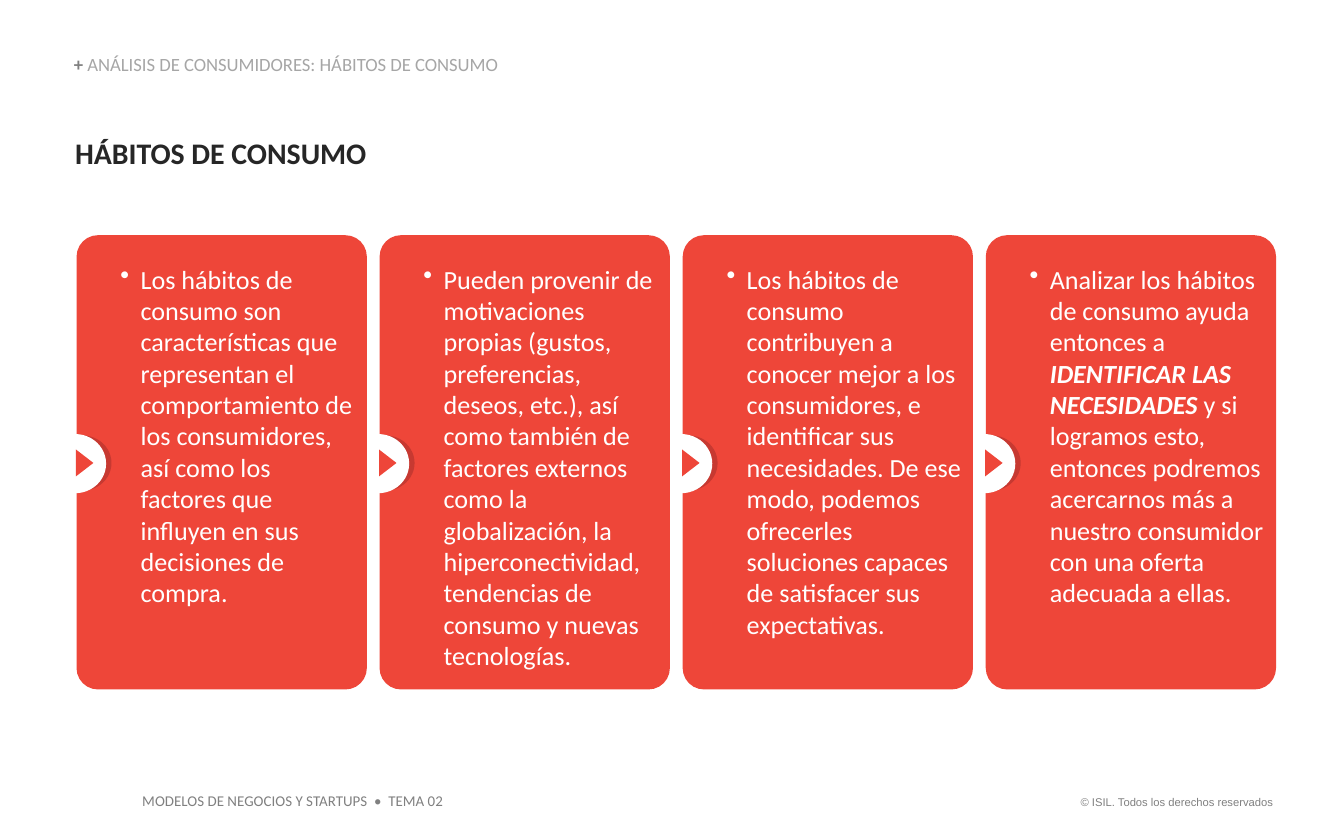
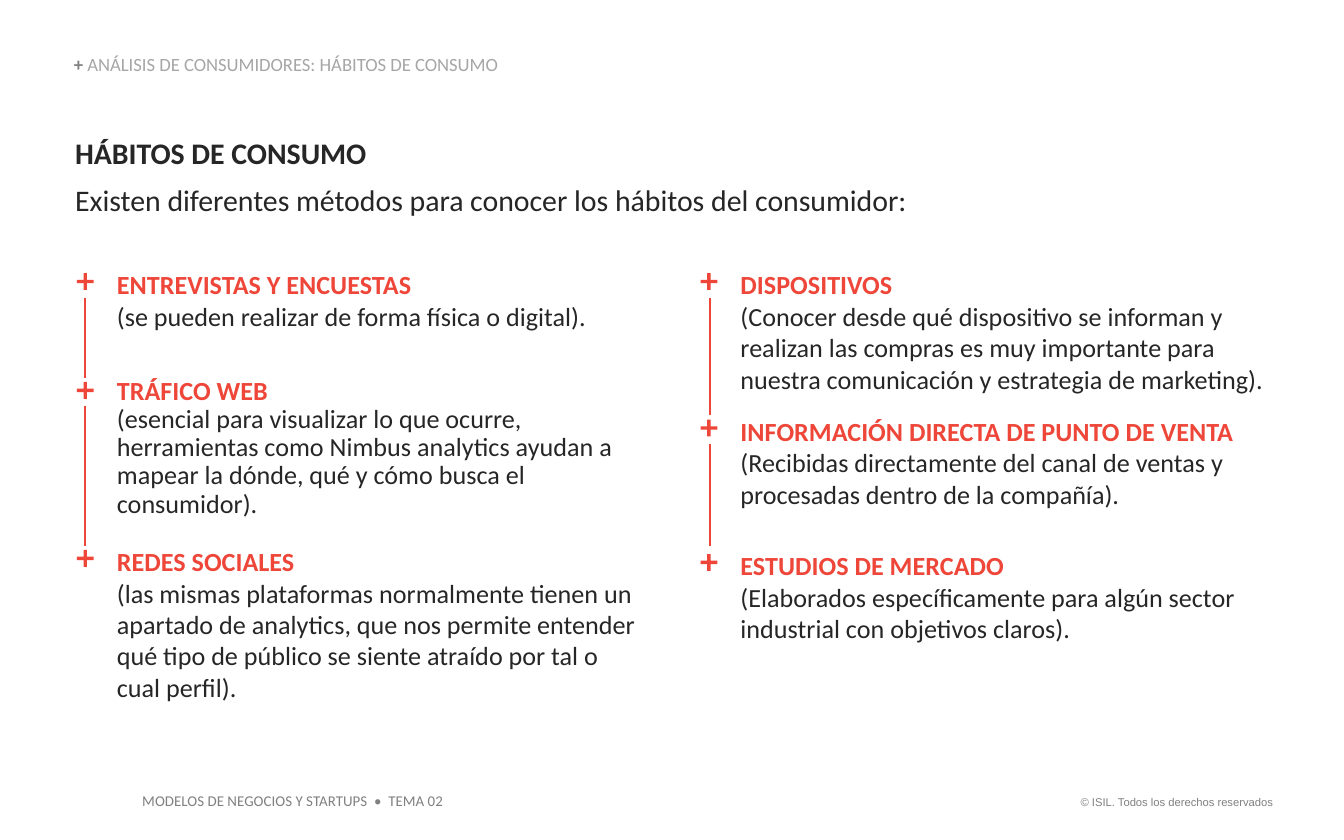
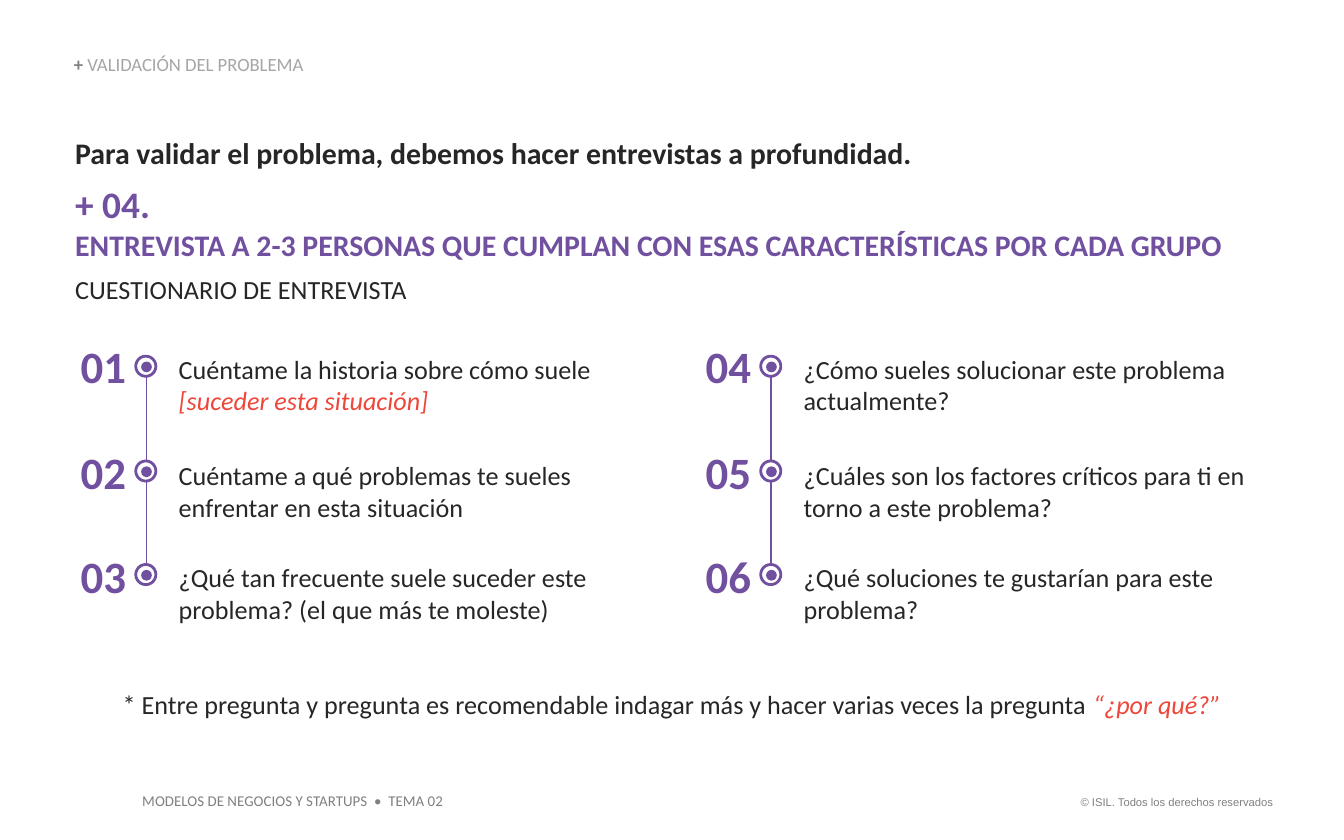
"""Build three slides on consumer habits and problem validation."""
from copy import deepcopy

from lxml.etree import SubElement
from pptx import Presentation
from pptx.dml.color import RGBColor
from pptx.enum.shapes import MSO_CONNECTOR, MSO_SHAPE as SHAPE
from pptx.enum.text import MSO_ANCHOR, MSO_AUTO_SIZE, PP_ALIGN as ALIGN
from pptx.oxml.ns import qn
from pptx.util import Inches, Pt

RED = RGBColor(0xEE, 0x46, 0x39)
DARK_RED = RGBColor(0xC7, 0x39, 0x31)
PURPLE = RGBColor(0x71, 0x50, 0xA0)
INK = RGBColor(0x26, 0x26, 0x26)
GRAY = RGBColor(0x80, 0x80, 0x80)
LIGHT_GRAY = RGBColor(0xA6, 0xA6, 0xA6)
WHITE = RGBColor(0xFF, 0xFF, 0xFF)


def add_box(s, left, top, width, height, kind=None, fill=None, line=None,
            inset=(0, 0, 0, 0), wrap=True):
    """Add a text box, or a filled preset shape when a kind is given."""
    box = [Inches(v) for v in (left, top, width, height)]
    if kind is None:
        sp = s.shapes.add_textbox(*box)
    else:
        sp = s.shapes.add_shape(kind, *box)
        sp.shadow.inherit = False
        sp.fill.solid()
        sp.fill.fore_color.rgb = fill
        if line is None:
            sp.line.fill.background()
        else:
            sp.line.color.rgb = line
            sp.line.width = Pt(1.5)
    tf = sp.text_frame
    tf.word_wrap = wrap
    tf.vertical_anchor = MSO_ANCHOR.TOP
    tf.margin_left, tf.margin_top, tf.margin_right, tf.margin_bottom = map(Inches, inset)
    return sp


def add_text(sp, text, new=False, size=14, color=INK, bold=False, italic=False,
             font="Calibri", align=None, after=None, spacing=None):
    """Add a run to the last paragraph, or to a new one; a leading newline breaks the line."""
    tf = sp.text_frame
    p = tf.add_paragraph() if new else tf.paragraphs[-1]
    if align is not None:
        p.alignment = align
    if after is not None:
        p.space_after = Pt(after)
    if spacing is not None:
        p.line_spacing = spacing
    if text.startswith("\n"):
        rpr = deepcopy(p.runs[-1]._r.rPr)
        p.add_line_break()
        p._p[-1].append(rpr)
    r = p.add_run()
    r.text = text.lstrip("\n")
    r.font.name = font
    r.font.size = Pt(size)
    r.font.bold = bold
    r.font.italic = italic
    r.font.color.rgb = color
    return p


prs = Presentation()
prs.slide_width = Inches(10)
prs.slide_height = Inches(6.25)

HABITS = "ANÁLISIS DE CONSUMIDORES: HÁBITOS DE CONSUMO"
pages = [
    (HABITS, "HÁBITOS DE CONSUMO", 0.35),
    (HABITS, "HÁBITOS DE CONSUMO", 0.62),
    ("VALIDACIÓN DEL PROBLEMA",
     "Para validar el problema, debemos hacer entrevistas a profundidad.", 1.28),
]
headings = []
for section, heading, height in pages:
    s = prs.slides.add_slide(prs.slide_layouts[5])
    title = s.shapes.title
    title.left, title.top, title.width, title.height = map(Inches, (0.55, 0.41, 4.25, 0.15))
    tf = title.text_frame
    tf.auto_size = MSO_AUTO_SIZE.NONE
    tf.word_wrap = True
    tf.vertical_anchor = MSO_ANCHOR.BOTTOM
    tf.margin_left = tf.margin_top = tf.margin_right = tf.margin_bottom = 0
    add_text(title, "+ ", size=10, color=GRAY, bold=True, align=ALIGN.LEFT, spacing=0.9)
    add_text(title, section, size=10, color=LIGHT_GRAY)

    sp = add_box(s, 7.88, 5.87, 1.69, 0.2, inset=(0.1, 0.05, 0.1, 0.05), wrap=False)
    add_text(sp, "© ISIL. Todos los derechos reservados", size=6, color=GRAY,
             font="Arial", align=ALIGN.RIGHT)
    sp = add_box(s, 0.96, 5.84, 2.45, 0.24, inset=(0.1, 0.05, 0.1, 0.05), wrap=False)
    add_text(sp, "MODELOS DE NEGOCIOS Y STARTUPS  •  TEMA 02", size=8, color=GRAY)

    sp = add_box(s, 0.56, 1, 8.94, height)
    add_text(sp, heading, size=16, bold=True, after=6)
    headings.append(sp)

cards_slide, methods_slide, interview_slide = prs.slides

lines = [
    (methods_slide, 0.63, 2.22, 2.81, RED),
    (methods_slide, 0.63, 3.02, 4.06, RED),
    (methods_slide, 5.28, 2.22, 3.09, RED),
    (methods_slide, 5.28, 3.3, 4.06, RED),
    (interview_slide, 1.09, 2.76, 4.2, PURPLE),
    (interview_slide, 5.74, 2.76, 4.2, PURPLE),
]
for s, x, top, bottom, color in lines:
    c = s.shapes.add_connector(MSO_CONNECTOR.STRAIGHT, Inches(x), Inches(top),
                               Inches(x), Inches(bottom))
    c.line.color.rgb = color
    c.line.width = Pt(1)
    SubElement(c._element.spPr, qn("a:effectLst"))

cards = [
    ["Los hábitos de consumo son características que representan el comportamiento de los "
     "consumidores, así como los factores que influyen en sus decisiones de compra."],
    ["Pueden provenir de motivaciones propias (gustos, preferencias, deseos, etc.), así como "
     "también de factores externos como la globalización, la hiperconectividad, tendencias de "
     "consumo y nuevas tecnologías."],
    ["Los hábitos de consumo contribuyen a conocer mejor a los consumidores, e identificar sus "
     "necesidades. De ese modo, podemos ofrecerles soluciones capaces de satisfacer sus "
     "expectativas."],
    ["Analizar los hábitos de consumo ayuda entonces a ",
     "IDENTIFICAR LAS NECESIDADES ",
     "y si logramos esto, entonces podremos acercarnos más a nuestro consumidor con una oferta "
     "adecuada a ellas."],
]
s = cards_slide
for i, runs in reversed(list(enumerate(cards))):
    x = 0.57 + i * 2.255
    card = add_box(s, x, 1.75, 2.16, 3.38, SHAPE.ROUNDED_RECTANGLE, RED,
                   inset=(0.28, 0.16, 0, 0.05))
    card.adjustments[0] = 0.074
    p = card.text_frame.paragraphs[0]
    p.alignment = ALIGN.LEFT
    ppr = p._p.get_or_add_pPr()
    ppr.set("marL", str(Inches(0.15)))
    ppr.set("indent", str(-Inches(0.15)))
    SubElement(SubElement(ppr, qn("a:buClr")), qn("a:srgbClr"), val=str(WHITE))
    SubElement(ppr, qn("a:buChar"), char="•")
    for j, text in enumerate(runs):
        add_text(card, text, color=WHITE, bold=j == 1, italic=j == 1)
    add_box(s, x - 0.17, 3.24, 0.43, 0.41, SHAPE.OVAL, DARK_RED)
    add_box(s, x - 0.24, 3.23, 0.46, 0.44, SHAPE.OVAL, WHITE)
    arrow = add_box(s, x - 0.04, 3.38, 0.2, 0.13, SHAPE.ISOSCELES_TRIANGLE, RED)
    arrow.rotation = 90

s = methods_slide
add_text(headings[1], "Existen diferentes métodos para conocer los hábitos del consumidor:",
         new=True, size=16)
methods = [
    (0.55, 2, 0.47, "ENTREVISTAS Y ENCUESTAS", "(se pueden realizar de forma física o digital)."),
    (0.55, 2.81, 1.06, "TRÁFICO WEB",
     "(esencial para visualizar lo que ocurre, herramientas como Nimbus analytics ayudan a "
     "mapear la dónde, qué y cómo busca el consumidor)."),
    (0.55, 4.06, 1.18, "REDES SOCIALES",
     "(las mismas plataformas normalmente tienen un apartado de analytics, que nos permite "
     "entender qué tipo de público se siente atraído por tal o cual perfil)."),
    (5.19, 2, 0.94, "DISPOSITIVOS",
     "(Conocer desde qué dispositivo se informan y realizan las compras es muy importante para "
     "nuestra comunicación y estrategia de marketing)."),
    (5.19, 3.09, 0.71, "INFORMACIÓN DIRECTA DE PUNTO DE VENTA",
     "(Recibidas directamente del canal de ventas y procesadas dentro de la compañía)."),
    (5.19, 4.09, 0.71, "ESTUDIOS DE MERCADO",
     "(Elaborados específicamente para algún sector industrial con objetivos claros)."),
]
for x, y, height, name, detail in methods:
    tight = name == "TRÁFICO WEB"
    sp = add_box(s, x + 0.32, y, 3.94, height)
    add_text(sp, name, color=RED, bold=True, spacing=0.9 if tight else None)
    if tight:
        add_text(sp, "\n" + detail)
    else:
        add_text(sp, detail, new=True)
    plus = add_box(s, x, y + 0.01, 0.17, 0.17, SHAPE.MATH_PLUS, RED)
    plus.adjustments[0] = 0.152

s = interview_slide
sp = headings[2]
add_text(sp, "+ 04.", new=True, size=20, color=PURPLE, bold=True, after=6)
add_text(sp, "\nENTREVISTA A 2-3 PERSONAS QUE CUMPLAN CON ESAS CARACTERÍSTICAS POR CADA GRUPO",
         size=16, color=PURPLE, bold=True)
add_text(sp, "CUESTIONARIO DE ENTREVISTA", new=True)

questions = [
    ["Cuéntame la historia sobre cómo suele ", "[suceder esta situación]"],
    ["Cuéntame a qué problemas te sueles enfrentar en esta situación"],
    ["¿Qué tan frecuente suele suceder este problema? (el que más te moleste)"],
    ["¿Cómo sueles solucionar este problema actualmente?"],
    ["¿Cuáles son los factores críticos para ti en torno a este problema?"],
    ["¿Qué soluciones te gustarían para este problema?"],
]
rows = [(2.52, 2.63, 2.65), (3.31, 3.42, 3.43), (4.08, 4.18, 4.2)]
for i, runs in enumerate(questions):
    x = 0.55 + i // 3 * 4.65
    number_top, text_top, dot_top = rows[i % 3]
    sp = add_box(s, x, number_top, 0.44, 0.4)
    add_text(sp, f"{i + 1:02}", size=24, color=PURPLE, bold=True, align=ALIGN.CENTER)
    sp = add_box(s, x + 0.78, text_top, 3.48, 0.47)
    for j, text in enumerate(runs):
        add_text(sp, text, color=RED if j else INK, italic=j == 1)
    marker = s.shapes.add_group_shape()
    add_box(marker, x + 0.46, dot_top, 0.15, 0.15, SHAPE.OVAL, WHITE, PURPLE)
    add_box(marker, x + 0.5, dot_top + 0.04, 0.08, 0.08, SHAPE.OVAL, PURPLE)

sp = add_box(s, 0.63, 5.12, 8.74, 0.24)
add_text(sp, "* Entre pregunta y pregunta es recomendable indagar más y hacer varias veces "
         "la pregunta ", align=ALIGN.CENTER)
add_text(sp, "“¿por qué?”", color=RED, italic=True)

prs.save("out.pptx")
